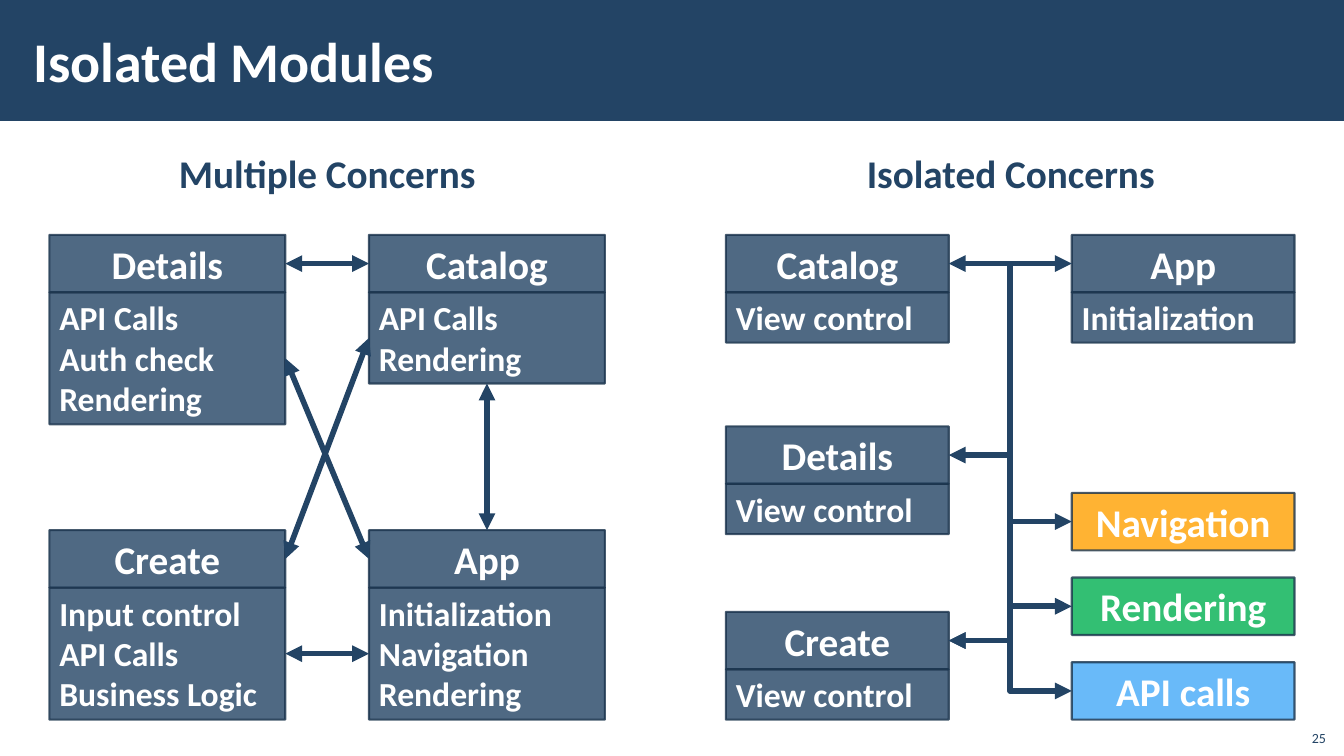
from dataclasses import dataclass

from lxml import etree
from pptx import Presentation
from pptx import util as u
from pptx.dml import color
from pptx.enum import shapes, text
from pptx.oxml import ns

NAVY, EDGE, WHITE = "234465", "1A334C", "FFFFFF"
HEAD_H, BODY_H, LINE_H = 0.57, 0.5, 0.405
TOP, LEFT, BOTTOM, RIGHT = range(4)
CENTER = text.PP_ALIGN.CENTER
MIDDLE = text.MSO_ANCHOR.MIDDLE


@dataclass
class Module:
    key: str
    name: str
    x: float
    y: float
    width: float
    lines: tuple[str, ...] = ()
    fill: str = NAVY


@dataclass
class Link:
    start: str
    start_side: int
    end: str
    end_side: int
    bent: bool = False


@dataclass
class Label:
    text: str
    box: tuple[float, float, float, float]
    size: int
    color: str
    bold: bool = True
    align: text.PP_ALIGN = text.PP_ALIGN.LEFT
    anchor: text.MSO_ANCHOR = MIDDLE
    inset: float = 0.1
    spacing: float = 1.0


COL_1, COL_2, COL_3, COL_4 = 0.49, 3.66, 7.2, 10.63
WIDE, NARROW = 2.34, 2.21
ROW_1, ROW_2 = 2.33, 5.26

MODULES = [
    Module("catalog", "Catalog", COL_2, ROW_1, WIDE, ("API Calls", "Rendering")),
    Module("details", "Details", COL_1, ROW_1, WIDE, ("API Calls", "Auth check", "Rendering")),
    Module("create", "Create", COL_1, ROW_2, WIDE, ("Input control", "API Calls", "Business Logic")),
    Module("app", "App", COL_2, ROW_2, WIDE, ("Initialization", "Navigation", "Rendering")),
    Module("create view", "Create", COL_3, 6.07, NARROW, ("View control",)),
    Module("details view", "Details", COL_3, 4.23, NARROW, ("View control",)),
    Module("catalog view", "Catalog", COL_3, ROW_1, NARROW, ("View control",)),
    Module("app start", "App", COL_4, ROW_1, NARROW, ("Initialization",)),
    Module("navigation", "Navigation", COL_4, 4.89, NARROW, fill="FFA000"),
    Module("rendering", "Rendering", COL_4, 5.73, NARROW, fill="00B050"),
    Module("api", "API calls", COL_4, 6.57, NARROW, fill="44A9F8"),
]

LINKS = [
    Link("app", TOP, "catalog body", BOTTOM),
    Link("app body", LEFT, "create body", RIGHT),
    Link("app", LEFT, "details body", RIGHT),
    Link("details", RIGHT, "catalog", LEFT),
    Link("catalog body", LEFT, "create", RIGHT),
    Link("catalog view", RIGHT, "api", LEFT, True),
    Link("details view", RIGHT, "rendering", LEFT, True),
    Link("create view", RIGHT, "navigation", LEFT, True),
    Link("create view", RIGHT, "app start", LEFT, True),
]

LABELS = [
    Label("25", (12.85, 7.12, 0.4, 0.32), 10, NAVY, False,
          text.PP_ALIGN.RIGHT, text.MSO_ANCHOR.BOTTOM),
    Label("Isolated Modules", (0.21, 0.11, 10.63, 0.97), 40, WHITE, inset=0.12),
    Label("Multiple Concerns", (1.48, 1.39, 3.53, 0.57), 28, NAVY, align=CENTER,
          anchor=text.MSO_ANCHOR.TOP, inset=0.04, spacing=1.1),
    Label("Isolated Concerns", (8.26, 1.39, 3.53, 0.57), 28, NAVY, align=CENTER,
          anchor=text.MSO_ANCHOR.TOP, inset=0.04, spacing=1.1),
]


def rgb(value: str) -> color.RGBColor:
    return color.RGBColor.from_string(value)


def apply(target, values: dict) -> None:
    for name, value in values.items():
        setattr(target, name, value)


def write(tf, lines: tuple[str, ...], size: int, ink: str, bold: bool,
          align, spacing: float = 1.0) -> None:
    for i, line in enumerate(lines):
        p = tf.add_paragraph() if i else tf.paragraphs[0]
        apply(p, {"alignment": align, "line_spacing": spacing})
        r = p.add_run()
        r.text = line
        apply(r.font, {"name": "Calibri", "size": u.Pt(size), "bold": bold})
        r.font.color.rgb = rgb(ink)


def draw_rect(sp, box: tuple, fill: str):
    s = sp.add_shape(shapes.MSO_SHAPE.RECTANGLE, *map(u.Inches, box))
    s.shadow.inherit = False
    s.fill.solid()
    s.fill.fore_color.rgb = rgb(fill)
    return s


def draw_box(sp, box: tuple, fill: str, lines: tuple[str, ...], size: int, align, anchor):
    s = draw_rect(sp, box, fill)
    s.line.color.rgb = rgb(EDGE)
    s.line.width = u.Pt(1.5)
    for tint in s._element.spPr.iter(ns.qn("a:srgbClr")):
        etree.SubElement(tint, ns.qn("a:alpha"), val="80000")
    apply(s.text_frame, {"word_wrap": True, "vertical_anchor": anchor})
    write(s.text_frame, lines, size, WHITE, True, align)
    return s


def draw_module(sp, m: Module) -> dict:
    drawn = {}
    if m.lines:
        height = BODY_H + LINE_H * (len(m.lines) - 1)
        drawn[m.key + " body"] = draw_box(
            sp, (m.x, m.y + HEAD_H, m.width, height), m.fill, m.lines, 24,
            text.PP_ALIGN.LEFT, text.MSO_ANCHOR.TOP)
    drawn[m.key] = draw_box(sp, (m.x, m.y, m.width, HEAD_H), m.fill, (m.name,), 28,
                            CENTER, MIDDLE)
    return drawn


def draw_link(sp, link: Link, boxes: dict) -> None:
    kind = shapes.MSO_CONNECTOR.ELBOW if link.bent else shapes.MSO_CONNECTOR.STRAIGHT
    s = sp.add_connector(kind, 0, 0, 0, 0)
    s.begin_connect(boxes[link.start], link.start_side)
    s.end_connect(boxes[link.end], link.end_side)
    s.line.color.rgb = rgb(NAVY)
    s.line.width = u.Pt(4)
    ln = s.line._get_or_add_ln()
    for end in ("a:headEnd", "a:tailEnd"):
        etree.SubElement(ln, ns.qn(end), type="triangle")
    etree.SubElement(s._element.spPr, ns.qn("a:effectLst"))


def draw_label(sp, label: Label) -> None:
    tf = sp.add_textbox(*map(u.Inches, label.box)).text_frame
    apply(tf, {
        "word_wrap": True,
        "vertical_anchor": label.anchor,
        "margin_left": u.Inches(label.inset),
        "margin_right": u.Inches(label.inset),
        "margin_top": u.Inches(0.04),
        "margin_bottom": u.Inches(0.04),
    })
    write(tf, (label.text,), label.size, label.color, label.bold, label.align, label.spacing)


def main() -> None:
    prs = Presentation()
    apply(prs, {"slide_width": u.Inches(13.33), "slide_height": u.Inches(7.5)})
    sp = prs.slides.add_slide(prs.slide_layouts[6]).shapes
    banner = draw_rect(sp, (0, 0, 13.33, 1.2), NAVY)
    banner.line.fill.background()
    boxes = {}
    for m in MODULES:
        boxes.update(draw_module(sp, m))
    for link in LINKS:
        draw_link(sp, link, boxes)
    for label in LABELS:
        draw_label(sp, label)
    prs.save("out.pptx")


if __name__ == "__main__":
    main()
